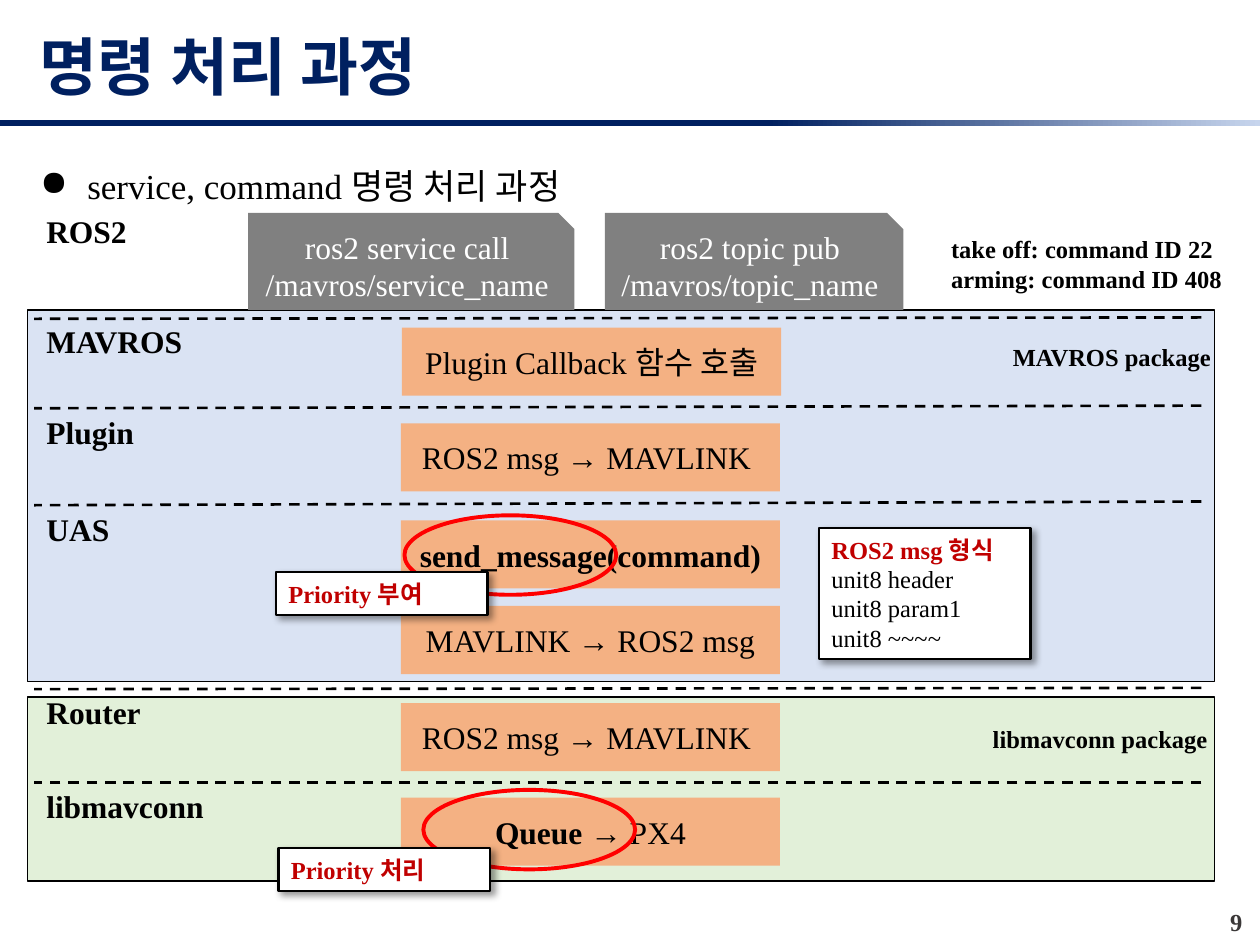
from dataclasses import dataclass
from typing import NamedTuple

from lxml.etree import SubElement
from pptx import Presentation
from pptx.dml.color import RGBColor
from pptx.enum.dml import MSO_LINE
from pptx.enum.shapes import MSO_CONNECTOR, MSO_SHAPE as Shape
from pptx.enum.text import MSO_ANCHOR as Anchor, MSO_AUTO_SIZE as AutoSize, PP_ALIGN as Align
from pptx.oxml import parse_xml
from pptx.oxml.ns import nsdecls, qn
from pptx.util import Pt

FONT = "Times New Roman"
BLACK = RGBColor(0x00, 0x00, 0x00)
WHITE = RGBColor(0xFF, 0xFF, 0xFF)
NAVY = RGBColor(0x00, 0x20, 0x60)
PALE_NAVY = RGBColor(0xC7, 0xD5, 0xED)
DARK_GRAY = RGBColor(0x3B, 0x38, 0x38)
GRAY = RGBColor(0x80, 0x80, 0x80)
GREEN = RGBColor(0xE2, 0xF0, 0xD9)
BLUE = RGBColor(0xDA, 0xE3, 0xF3)
ORANGE = RGBColor(0xF4, 0xB1, 0x83)
CRIMSON = RGBColor(0xC0, 0x00, 0x00)
RED = RGBColor(0xFF, 0x00, 0x00)


class Box(NamedTuple):
    x: float
    y: float
    w: float
    h: float


class Run(NamedTuple):
    text: str
    bold: bool = False
    color: RGBColor = BLACK


@dataclass
class Layer:
    name: str
    top: float
    width: float = 94.3


@dataclass
class Step:
    top: float
    runs: list[Run]
    left: float = 229


@dataclass
class Command:
    box: Box
    text: str


@dataclass
class Callout:
    box: Box
    lines: list[Run]


@dataclass
class Divider:
    right_y: float
    left_y: float


PACKAGES = [(Box(15.8, 398.2, 678.3, 105.1), GREEN), (Box(15.8, 177.1, 678.3, 212.4), BLUE)]
COMMANDS = [
    Command(Box(141.8, 121.7, 186.5, 55.4), "ros2 service call /mavros/service_name"),
    Command(Box(345.6, 121.7, 170.6, 55.4), "ros2 topic pub /mavros/topic_name"),
]
LAYERS = [
    Layer("ROS2", 117.4, 77),
    Layer("MAVROS", 180.7),
    Layer("Plugin", 232.6),
    Layer("UAS", 288),
    Layer("Router", 392.4),
    Layer("libmavconn", 446.4, 110.2),
]
STEPS = [
    Step(187.2, [Run("Plugin Callback 함수 호출")], 229.7),
    Step(241.9, [Run("ROS2 msg → MAVLINK ")]),
    Step(297.4, [Run("send_message(command)", True)]),
    Step(346.3, [Run("MAVLINK → ROS2 msg")]),
    Step(401.8, [Run("ROS2 msg → MAVLINK ")]),
    Step(455.8, [Run("Queue", True), Run(" → PX4")]),
]
DIVIDERS = [
    Divider(181.4, 182.2),
    Divider(231.8, 233.3),
    Divider(286.6, 288.7),
    Divider(393.1, 393.8),
    Divider(447.1, 447.1),
]
NOTES = [
    (Box(536.4, 130.3, 177.8, 41), ["take off: command ID 22", "arming: command ID 408"]),
    (Box(571.7, 192.2, 177.8, 24.5), ["MAVROS package"]),
    (Box(560.2, 410.4, 177.8, 24.5), ["libmavconn package"]),
]
HIGHLIGHTS = [Box(231.1, 294.5, 121, 45.4), Box(241.9, 451.4, 121, 45.4)]
CALLOUTS = [
    Callout(Box(468, 301.7, 121, 74.9), [
        Run("ROS2 msg 형식", True, CRIMSON), Run("unit8 header"), Run("unit8 param1"), Run("unit8 ~~~~"),
    ]),
    Callout(Box(159.1, 484.6, 121, 24.5), [Run("Priority 처리", True, CRIMSON)]),
    Callout(Box(157.7, 326.9, 121, 24.5), [Run("Priority 부여", True, CRIMSON)]),
]


def points(box: Box) -> list[Pt]:
    return [Pt(v) for v in box]


def write(sp, paragraphs: list[list[Run]], *, size: float, align=Align.LEFT,
          anchor=Anchor.TOP, grow: bool = False) -> None:
    tf = sp.text_frame
    tf.word_wrap = True
    tf.vertical_anchor = anchor
    tf.auto_size = AutoSize.SHAPE_TO_FIT_TEXT if grow else AutoSize.NONE
    for i, runs in enumerate(paragraphs):
        p = tf.paragraphs[0] if i == 0 else tf.add_paragraph()
        p.alignment = align
        for run in runs:
            r = p.add_run()
            r.text = run.text
            r.font.name, r.font.size = FONT, Pt(size)
            r.font.bold, r.font.color.rgb = run.bold, run.color


def add_text(s, box: Box, paragraphs: list[list[Run]], **style):
    sp = s.shapes.add_textbox(*points(box))
    write(sp, paragraphs, **style)
    return sp


def add_box(s, kind, box: Box, fill=None, line=None, width: float = 1):
    sp = s.shapes.add_shape(kind, *points(box))
    sp.shadow.inherit = False
    if fill is None:
        sp.fill.background()
    else:
        sp.fill.solid()
        sp.fill.fore_color.rgb = fill
    if line is None:
        sp.line.fill.background()
    else:
        sp.line.color.rgb, sp.line.width = line, Pt(width)
    return sp


def add_heading(s) -> None:
    """Title, gradient rule and the bulleted topic line."""
    topic = add_text(s, Box(15.8, 78.5, 807.8, 38.9), [[]], size=20, grow=True)
    p = topic.text_frame.paragraphs[0]
    p.line_spacing = 1.5
    ppr = p._p.get_or_add_pPr()
    ppr.set("marL", str(Pt(27)))
    ppr.set("indent", str(-Pt(27)))
    SubElement(ppr, qn("a:buChar")).set("char", "●")
    write(topic, [[Run("service, command 명령 처리 과정")]], size=20, grow=True)
    add_text(s, Box(15.8, 8.6, 684, 57.6), [[Run("명령 처리 과정", True, NAVY)]],
             size=36, anchor=Anchor.MIDDLE)
    rule = add_box(s, Shape.RECTANGLE, Box(0, 68.4, 720, 3.6), NAVY)
    rule.fill.gradient()
    rule.fill.gradient_angle = 0
    stops = ((0.61, NAVY), (1, PALE_NAVY))
    for stop, (position, color) in zip(rule.fill.gradient_stops, stops):
        stop.position, stop.color.rgb = position, color


def add_divider(s, divider: Divider) -> None:
    line = s.shapes.add_connector(MSO_CONNECTOR.STRAIGHT, Pt(686.5), Pt(divider.right_y),
                                  Pt(19.5), Pt(divider.left_y))
    line.line.color.rgb, line.line.width = BLACK, Pt(1.5)
    line.line.dash_style = MSO_LINE.DASH
    SubElement(line._element.spPr, qn("a:effectLst"))


def add_callout(s, callout: Callout) -> None:
    sp = add_box(s, Shape.RECTANGLE, callout.box, WHITE, BLACK, 1.5)
    effects = sp._element.spPr.find(qn("a:effectLst"))
    effects.append(parse_xml(
        f'<a:outerShdw {nsdecls("a")} blurRad="{Pt(4)}" dist="{Pt(3)}" dir="2700000" algn="tl" '
        'rotWithShape="0"><a:srgbClr val="000000"><a:alpha val="40000"/></a:srgbClr></a:outerShdw>'))
    write(sp, [[run] for run in callout.lines], size=14, anchor=Anchor.MIDDLE, grow=True)


def main() -> None:
    prs = Presentation()
    prs.slide_width, prs.slide_height = Pt(720), Pt(540)
    s = prs.slides.add_slide(prs.slide_layouts[6])
    centered = dict(size=18, align=Align.CENTER, anchor=Anchor.MIDDLE)

    for box, color in PACKAGES:
        add_box(s, Shape.RECTANGLE, box, color, BLACK)
    add_heading(s)
    add_text(s, Box(686.9, 514.8, 30.2, 21.6), [[Run("9", True, DARK_GRAY)]],
             size=14, align=Align.RIGHT)
    for command in COMMANDS:
        sp = add_box(s, Shape.SNIP_1_RECTANGLE, command.box, GRAY)
        write(sp, [[Run(command.text, color=WHITE)]], **centered)
    for layer in LAYERS:
        add_text(s, Box(19.4, layer.top, layer.width, 28.8), [[Run(layer.name, True)]],
                 size=18, grow=True)
    for step in STEPS:
        sp = add_box(s, Shape.RECTANGLE, Box(step.left, step.top, 216.7, 38.9), ORANGE)
        write(sp, [step.runs], **centered)
    for divider in DIVIDERS:
        add_divider(s, divider)
    for box, lines in NOTES:
        add_text(s, box, [[Run(line, True)] for line in lines], size=14, grow=True)
    for box in HIGHLIGHTS:
        add_box(s, Shape.OVAL, box, line=RED, width=2.25)
    for callout in CALLOUTS:
        add_callout(s, callout)
    prs.save("out.pptx")


if __name__ == "__main__":
    main()
